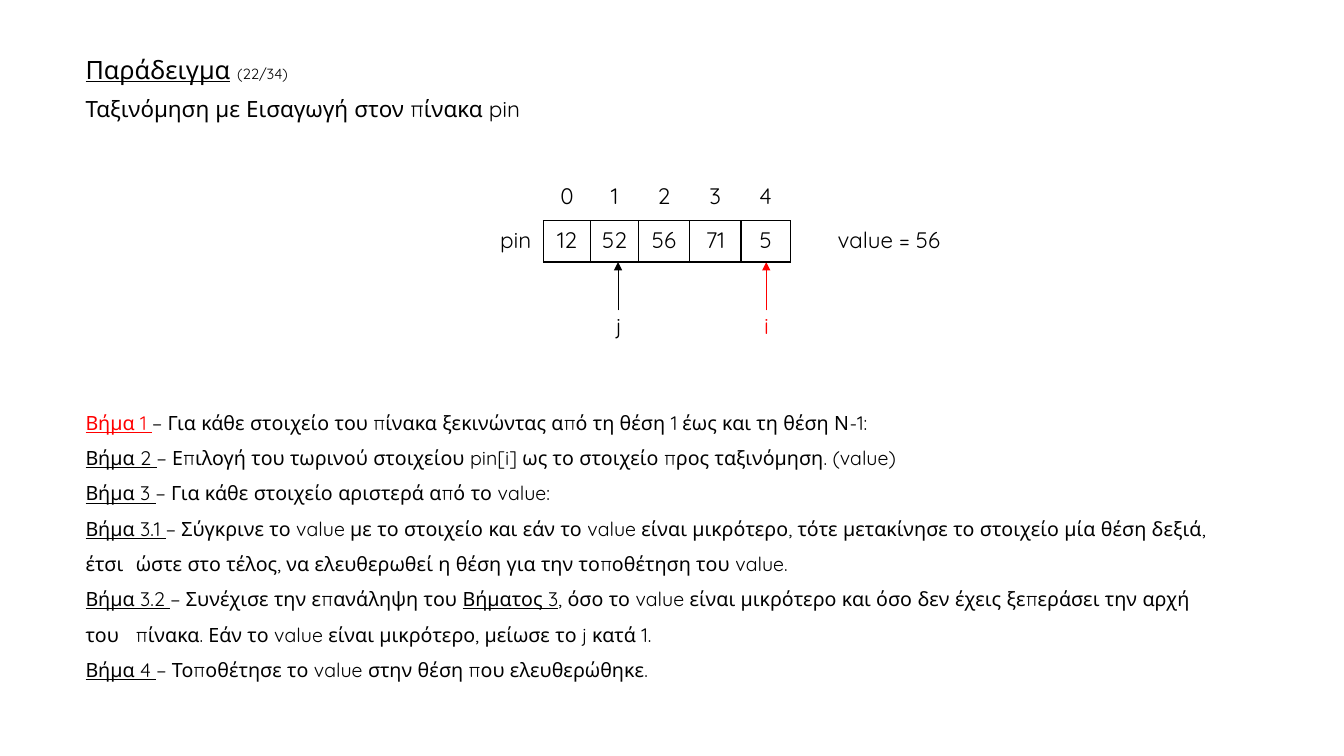
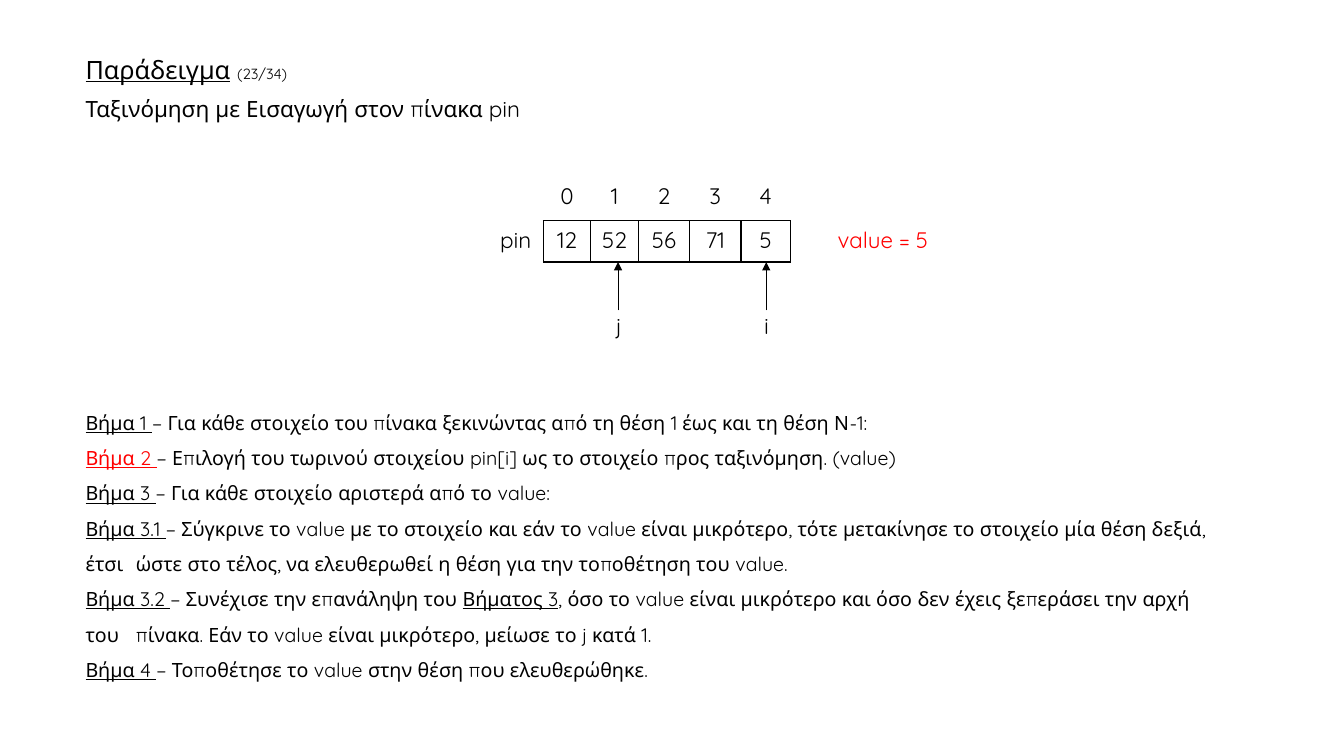
from lxml import etree
from pptx import Presentation
from pptx.dml.color import RGBColor
from pptx.enum import shapes, text
from pptx.oxml import ns
from pptx.util import Inches, Pt

BLACK, RED = "000000", "FF0000"
FONT = "Quicksand"
BODY_SIZE, LABEL_SIZE = 14, 16

INDEXES = ["", "0", "1", "2", "3", "4"]
PIN = ["pin", "12", "52", "56", "71", "5"]
COLUMN_WIDTHS = [0.55, 0.47, 0.47, 0.51, 0.51, 0.49]
ROW_HEIGHTS = [0.43, 0.41]
POINTERS = [("j", 6.13), ("i", 7.6)]
ARROW_TIP, ARROW_START = 2.6, 3.08

# Each step is a list of pieces, underlined and plain in turn.
STEPS = [
    ["Βήμα 1 ", "− Για κάθε στοιχείο του πίνακα ξεκινώντας από τη θέση 1 έως και τη θέση Ν-1:"],
    ["Βήμα 2 ", "− Επιλογή του τωρινού στοιχείου pin[i] ως το στοιχείο προς ταξινόμηση. (value)"],
    ["Βήμα 3 ", "− Για κάθε στοιχείο αριστερά από το value:"],
    ["Βήμα 3.1 ", "− Σύγκρινε το value με το στοιχείο και εάν το value είναι μικρότερο, τότε "
                  "μετακίνησε το στοιχείο μία θέση δεξιά, έτσι \tώστε στο τέλος, να ελευθερωθεί "
                  "η θέση για την τοποθέτηση του value."],
    ["Βήμα 3.2 ", "− Συνέχισε την επανάληψη του ", "Βήματος 3",
     ", όσο το value είναι μικρότερο και όσο δεν έχεις ξεπεράσει την αρχή του \tπίνακα. "
     "Εάν το value είναι μικρότερο, μείωσε το j κατά 1."],
    ["Βήμα 4 ", "− Τοποθέτησε το value στην θέση που ελευθερώθηκε."],
]

# What differs: page, value, and the step, pointer and value shown in red.
SLIDES = [
    {"page": 22, "value": 56, "step": 0, "red": ["i"]},
    {"page": 23, "value": 5, "step": 1, "red": ["value"]},
]


def style(run, size, colour=BLACK, underline=False):
    run.font.name = FONT
    run.font.size = Pt(size)
    run.font.underline = underline
    run.font.color.rgb = RGBColor.from_string(colour)


def add_text(slide, box, paragraphs, line_spacing=0.9, space_before=10):
    """Add a text box; each paragraph is a list of (text, size, colour, underline) runs."""
    shape = slide.shapes.add_textbox(*map(Inches, box))
    frame = shape.text_frame
    frame.word_wrap = True
    for n, runs in enumerate(paragraphs):
        paragraph = frame.paragraphs[0] if n == 0 else frame.add_paragraph()
        paragraph.line_spacing = line_spacing
        paragraph.space_before = Pt(space_before)
        for words, *look in runs:
            run = paragraph.add_run()
            run.text = words
            style(run, *look)
    return shape


prs = Presentation()
prs.slide_width, prs.slide_height = Inches(13.33), Inches(7.5)

for state in SLIDES:
    slide = prs.slides.add_slide(prs.slide_layouts[6])

    step_lines = []
    for n, pieces in enumerate(STEPS):
        step_colour = RED if n == state["step"] else BLACK
        step_lines.append([(piece, BODY_SIZE, BLACK if k else step_colour, k % 2 == 0)
                           for k, piece in enumerate(pieces)])
    steps = add_text(slide, (0.75, 3.91, 11.53, 2.88), step_lines, 1.5, 0)
    steps.text_frame.auto_size = text.MSO_AUTO_SIZE.SHAPE_TO_FIT_TEXT

    add_text(slide, (0.75, 0.52, 10.79, 0.77), [
        [("Παράδειγμα", 18, BLACK, True), (" ", 18), (f"({state['page']}/34)", 10.5)],
        [("Ταξινόμηση με Εισαγωγή στον πίνακα pin", 16)],
    ])

    for name, x in POINTERS:
        colour = RED if name in state["red"] else BLACK
        label = add_text(slide, (x - 0.12, ARROW_START, 0.24, 0.36),
                         [[(name, LABEL_SIZE, colour)]])
        label.text_frame.paragraphs[0].alignment = text.PP_ALIGN.CENTER
        arrow = slide.shapes.add_connector(
            shapes.MSO_CONNECTOR.STRAIGHT,
            Inches(x), Inches(ARROW_START), Inches(x), Inches(ARROW_TIP))
        arrow.begin_connect(label, 0)
        arrow.line.width = Pt(0.5)
        arrow.line.color.rgb = RGBColor.from_string(colour)
        etree.SubElement(arrow.line._get_or_add_ln(), ns.qn("a:tailEnd"), type="triangle")
        etree.SubElement(arrow._element.spPr, ns.qn("a:effectLst"))

    value_colour = RED if "value" in state["red"] else BLACK
    add_text(slide, (8.21, 2.22, 1.31, 0.47),
             [[(f"value = {state['value']}", LABEL_SIZE, value_colour)]])

    array = slide.shapes.add_table(
        2, len(PIN), Inches(4.84), Inches(1.76),
        Inches(sum(COLUMN_WIDTHS)), Inches(sum(ROW_HEIGHTS))).table
    array.first_row = array.horz_banding = False
    for column, width in zip(array.columns, COLUMN_WIDTHS):
        column.width = Inches(width)
    for r, (height, entries) in enumerate(zip(ROW_HEIGHTS, [INDEXES, PIN])):
        array.rows[r].height = Inches(height)
        for c, entry in enumerate(entries):
            cell = array.cell(r, c)
            cell.text = entry
            cell.fill.background()
            paragraph = cell.text_frame.paragraphs[0]
            paragraph.alignment = text.PP_ALIGN.CENTER
            for run in paragraph.runs:
                style(run, LABEL_SIZE)

            # Only the array elements are boxed; neighbours share the touching edge.
            boxed = r == 1 and c > 0
            drawn = {"L": boxed, "R": r == 1, "T": boxed, "B": c > 0}
            properties = cell._tc.get_or_add_tcPr()
            for position, (side, visible) in enumerate(drawn.items()):
                edge = etree.Element(ns.qn(f"a:ln{side}"), w=str(Pt(1)))
                if visible:
                    fill = etree.SubElement(edge, ns.qn("a:solidFill"))
                    etree.SubElement(fill, ns.qn("a:srgbClr"), val=BLACK)
                else:
                    etree.SubElement(edge, ns.qn("a:noFill"))
                properties.insert(position, edge)

prs.save("out.pptx")
